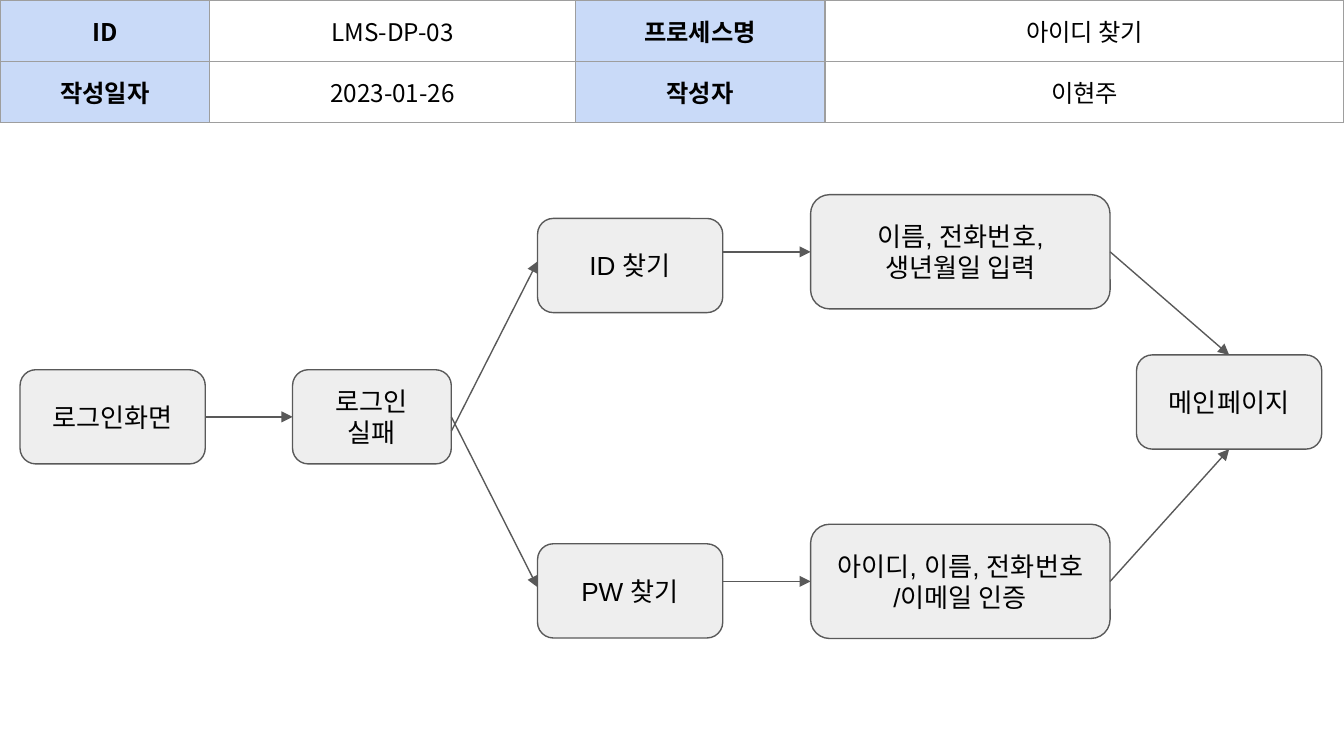
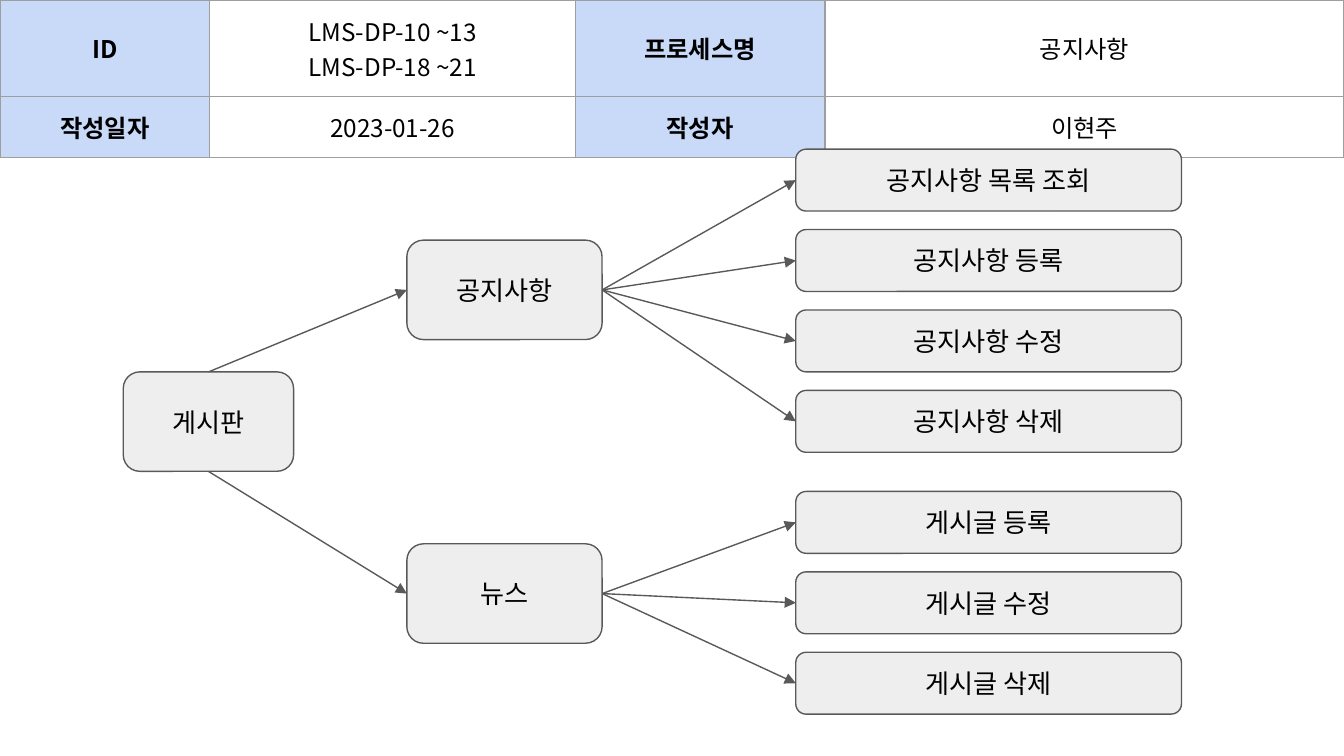
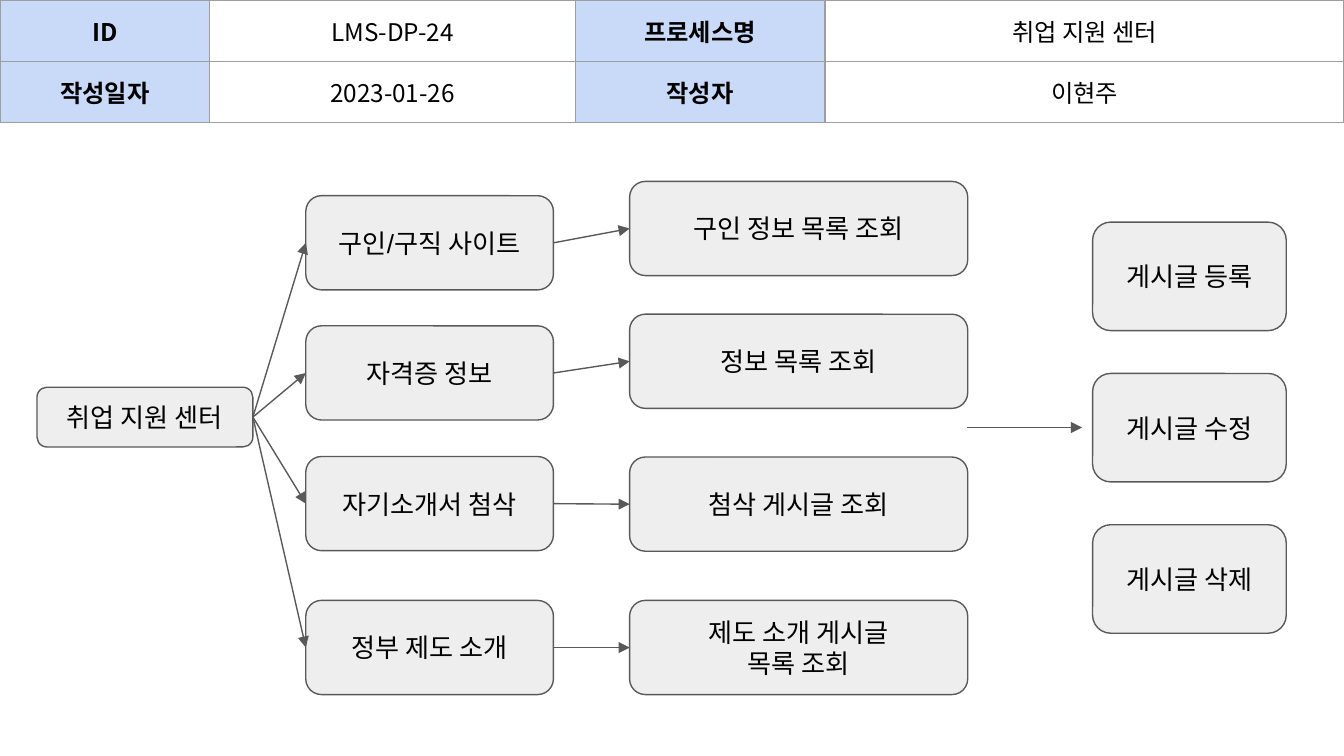
import pptx
import pptx.util
import pptx.dml.color
import pptx.enum.shapes
import pptx.enum.text
import pptx.oxml
import pptx.oxml.ns
from pptx.util import Cm

COLORS = {
    "label": "C9DAF8",
    "grid": "9E9E9E",
    "box": "EEEEEE",
    "line": "595959",
    "text": "000000",
}
TABLE_FONT = "Noto Sans CJK KR"
BOX_FONT = "Arial"
COLUMN_WIDTHS = [3.96, 6.91, 4.72, 2.31, 2.85, 4.65]
ROW_HEIGHTS = [1.07, 1.09]
MARGIN = Cm(0.25)
TOP, LEFT, BOTTOM, RIGHT = range(4)


def color(name):
    return pptx.dml.color.RGBColor.from_string(COLORS[name])


def fill_text(frame, text, font_name, size, bold=False):
    frame.text = text
    for paragraph in frame.paragraphs:
        paragraph.alignment = pptx.enum.text.PP_ALIGN.CENTER
        paragraph.font.name = font_name
        paragraph.font.size = pptx.util.Pt(size)
        paragraph.font.bold = bold
        paragraph.font.color.rgb = color("text")


def set_borders(cell):
    properties = cell._tc.get_or_add_tcPr()
    for position, side in enumerate(("lnL", "lnR", "lnT", "lnB")):
        border = pptx.oxml.parse_xml(
            f'<a:{side} {pptx.oxml.ns.nsdecls("a")} w="9525"><a:solidFill>'
            f'<a:srgbClr val="{COLORS["grid"]}"/></a:solidFill></a:{side}>'
        )
        properties.insert(position, border)


def add_header(page, process_id, process_name):
    rows = [
        ["ID", process_id, "프로세스명", process_name],
        ["작성일자", "2023-01-26", "작성자", "이현주"],
    ]
    table = page.shapes.add_table(
        len(ROW_HEIGHTS), len(COLUMN_WIDTHS), 0, 0,
        Cm(sum(COLUMN_WIDTHS)), Cm(sum(ROW_HEIGHTS)),
    ).table
    table.first_row = False
    table.horz_banding = False
    for column, width in zip(table.columns, COLUMN_WIDTHS):
        column.width = Cm(width)
    for row, height in zip(table.rows, ROW_HEIGHTS):
        row.height = Cm(height)
    for cell in table.iter_cells():
        cell.fill.background()
        set_borders(cell)
    for row_index, texts in enumerate(rows):
        table.cell(row_index, 3).merge(table.cell(row_index, 5))
        for column_index, text in enumerate(texts):
            cell = table.cell(row_index, column_index)
            is_label = column_index % 2 == 0
            if is_label:
                cell.fill.solid()
                cell.fill.fore_color.rgb = color("label")
            cell.vertical_anchor = pptx.enum.text.MSO_ANCHOR.MIDDLE
            cell.margin_left = cell.margin_right = MARGIN
            cell.margin_top = cell.margin_bottom = MARGIN
            fill_text(cell.text_frame, text, TABLE_FONT, 13, is_label)


def add_box(page, text, left, top, width, height):
    box = page.shapes.add_shape(
        pptx.enum.shapes.MSO_SHAPE.ROUNDED_RECTANGLE,
        Cm(left), Cm(top), Cm(width), Cm(height),
    )
    box.shadow.inherit = False
    box.fill.solid()
    box.fill.fore_color.rgb = color("box")
    box.line.color.rgb = color("line")
    box.line.width = pptx.util.Pt(0.75)
    frame = box.text_frame
    frame.word_wrap = True
    frame.vertical_anchor = pptx.enum.text.MSO_ANCHOR.MIDDLE
    frame.margin_left = frame.margin_right = MARGIN
    frame.margin_top = frame.margin_bottom = MARGIN
    fill_text(frame, text, BOX_FONT, 14)
    return box


def add_stack(page, texts, left, top, width, height, step):
    return [
        add_box(page, text, left, top + index * step, width, height)
        for index, text in enumerate(texts)
    ]


def add_arrow(page, start=(0, 0), end=(0, 0), source=None, target=None):
    arrow = page.shapes.add_connector(
        pptx.enum.shapes.MSO_CONNECTOR.STRAIGHT, *map(Cm, start + end)
    )
    if source:
        arrow.begin_connect(*source)
    if target:
        arrow.end_connect(*target)
    arrow.line.color.rgb = color("line")
    arrow.line.width = pptx.util.Pt(0.75)
    namespace = pptx.oxml.ns.nsdecls("a")
    arrow.line._get_or_add_ln().append(
        pptx.oxml.parse_xml(f'<a:tailEnd {namespace} type="triangle"/>')
    )
    arrow._element.spPr.append(pptx.oxml.parse_xml(f"<a:effectLst {namespace}/>"))


def fan_out(page, source, targets):
    for target in targets:
        add_arrow(page, source=source, target=(target, LEFT))


def add_page(deck, process_id, process_name):
    page = deck.slides.add_slide(deck.slide_layouts[6])
    add_header(page, process_id, process_name)
    return page


def build_find_account(deck):
    page = add_page(deck, "LMS-DP-03", "아이디 찾기")
    login = add_box(page, "로그인화면", 0.38, 6.99, 3.5, 1.78)
    failure = add_box(page, "로그인 실패", 5.53, 6.99, 3, 1.78)
    add_box(page, "ID 찾기", 10.16, 4.13, 3.5, 1.78)
    add_box(page, "PW 찾기", 10.16, 10.28, 3.5, 1.78)
    identity = add_box(page, "이름, 전화번호, 생년월일 입력", 15.32, 3.68, 5.66, 2.16)
    verification = add_box(
        page, "아이디, 이름, 전화번호\n/이메일 인증", 15.32, 9.91, 5.66, 2.16
    )
    main_page = add_box(page, "메인페이지", 21.48, 6.71, 3.5, 1.78)

    fan_out(page, (login, RIGHT), [failure])
    add_arrow(page, start=(8.53, 8.15), end=(10.16, 4.94))
    add_arrow(page, end=(10.16, 11.1), source=(failure, RIGHT))
    add_arrow(page, start=(13.66, 4.76), target=(identity, LEFT))
    add_arrow(page, start=(13.66, 10.99), target=(verification, LEFT))
    add_arrow(page, source=(identity, RIGHT), target=(main_page, TOP))
    add_arrow(page, source=(verification, RIGHT), target=(main_page, BOTTOM))


def build_board(deck):
    page = add_page(deck, "LMS-DP-10 ~13\nLMS-DP-18 ~21", "공지사항")
    notice = add_box(page, "공지사항", 7.69, 4.54, 3.69, 1.88)
    board = add_box(page, "게시판", 2.33, 7.03, 3.22, 1.88)
    news = add_box(page, "뉴스", 7.69, 10.28, 3.69, 1.88)
    notice_actions = add_stack(
        page,
        ["공지사항 목록 조회", "공지사항 등록", "공지사항 수정", "공지사항 삭제"],
        15.04, 2.82, 7.29, 1.17, 1.52,
    )
    news_actions = add_stack(
        page, ["게시글 등록", "게시글 수정", "게시글 삭제"],
        15.04, 9.29, 7.29, 1.17, 1.52,
    )
    fan_out(page, (board, TOP), [notice])
    fan_out(page, (board, BOTTOM), [news])
    fan_out(page, (notice, RIGHT), notice_actions)
    fan_out(page, (news, RIGHT), news_actions)


def build_job_center(deck):
    page = add_page(deck, "LMS-DP-24", "취업 지원 센터")
    center = add_box(page, "취업 지원 센터", 0.7, 7.32, 4.08, 1.13)
    services = [
        ("구인/구직 사이트", 3.7, "구인 정보 목록 조회", 3.43),
        ("자격증 정보", 6.16, "정보 목록 조회", 5.94),
        ("자기소개서 첨삭", 8.63, "첨삭 게시글 조회", 8.64),
        ("정부 제도 소개", 11.35, "제도 소개 게시글\n목록 조회", 11.35),
    ]
    for service_text, service_top, list_text, list_top in services:
        service = add_box(page, service_text, 5.78, service_top, 4.68, 1.78)
        listing = add_box(page, list_text, 11.9, list_top, 6.39, 1.78)
        fan_out(page, (center, RIGHT), [service])
        fan_out(page, (service, RIGHT), [listing])
    add_stack(
        page, ["게시글 등록", "게시글 수정", "게시글 삭제"],
        20.65, 4.2, 3.66, 2.05, 2.86,
    )
    add_arrow(page, start=(18.28, 8.08), end=(20.45, 8.08))


def main():
    deck = pptx.Presentation()
    deck.slide_width = Cm(25.4)
    deck.slide_height = Cm(14.29)
    build_find_account(deck)
    build_board(deck)
    build_job_center(deck)
    deck.save("out.pptx")


if __name__ == "__main__":
    main()
